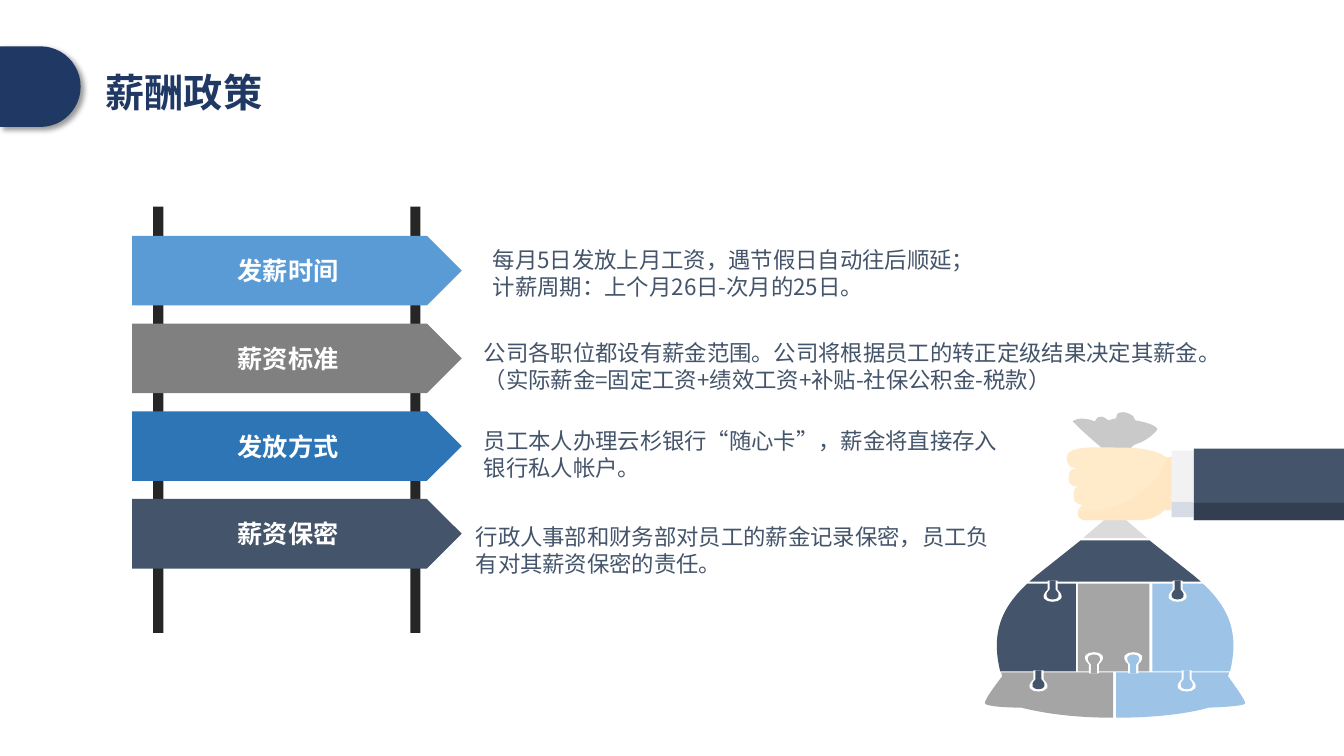
from pptx import Presentation
from pptx.dml.color import RGBColor
from pptx.enum.shapes import MSO_SHAPE
from pptx.enum.text import MSO_ANCHOR, PP_ALIGN
from pptx.oxml import parse_xml
from pptx.oxml.ns import nsdecls, qn
from pptx.util import Inches, Pt

FONT = "Noto Sans CJK SC"
HEX = {
    "title": "203864", "pole": "262626", "sky": "5B9BD5", "stone": "808080",
    "blue": "2E75B6", "navy": "44546A", "white": "FFFFFF", "gray": "A5A5A5",
    "light": "9DC3E6", "neck": "DBDBDB", "frill": "C9C9C9", "skin": "FFEACA",
    "shade": "FFE7C4", "cuff": "F2F2F2", "fold": "D6DCE5", "dark": "333F50",
}
ROWS = [  # label, colour, text box (left, top, width), indent, lines
    ("发薪时间", "sky", (4.79, 2.39, 5.96), 0,
     ["每月5日发放上月工资，遇节假日自动往后顺延；",
      "计薪周期：上个月26日-次月的25日。"]),
    ("薪资标准", "stone", (4.2, 3.32, 8.01), 0.5,
     ["公司各职位都设有薪金范围。公司将根据员工的转正定级结果决定其薪金。",
      "（实际薪金=固定工资+绩效工资+补贴-社保公积金-税款）"]),
    ("发放方式", "blue", (4.2, 4.19, 5.96), 0.5,
     ["员工本人办理云杉银行“随心卡”，薪金将直接存入银行私人帐户。"]),
    ("薪资保密", "navy", (4.12, 5.14, 5.96), 0.5,
     ["行政人事部和财务部对员工的薪金记录保密，员工负有对其薪资保密的责任。"]),
]


def paint(shape, color):
    shape.shadow.inherit = False
    shape.fill.solid()
    shape.fill.fore_color.rgb = RGBColor.from_string(HEX[color])
    shape.line.fill.background()
    return shape


def block(slide, kind, box, color):
    return paint(slide.shapes.add_shape(kind, *map(Inches, box)), color)


def write(para, text, size, color, bold=False):
    run = para.add_run()
    run.text = text
    font = run.font
    font.size, font.bold, font.name = Pt(size), bold, FONT
    font.color.rgb = RGBColor.from_string(HEX[color])
    run._r.get_or_add_rPr().append(
        parse_xml(f'<a:ea {nsdecls("a")} typeface="{FONT}"/>'))


def trace(slide, x, y, start, steps, color):
    """Outline from (x, y): pairs are lines, sixes are Bezier curves."""
    ends = [(Inches(x + s[-2]), Inches(y + s[-1])) for s in [start, *steps]]
    form = slide.shapes.build_freeform(*ends[0], scale=1.0)
    form.add_line_segments(ends[1:], close=True)
    shape = paint(form.convert_to_shape(), color)
    # Bend the lines that stand for curves
    lines = list(shape._element.iter(qn("a:lnTo")))
    for line, step in zip(lines, steps):
        if len(step) == 6:
            pts = "".join(
                f'<a:pt x="{Inches(x + a) - shape.left}" '
                f'y="{Inches(y + b) - shape.top}"/>'
                for a, b in zip(step[::2], step[1::2]))
            line.getparent().replace(line, parse_xml(
                f'<a:cubicBezTo {nsdecls("a")}>{pts}</a:cubicBezTo>'))


def head(slide, x, y):
    # Side tab with soft shadow, then the title
    tab = block(slide, MSO_SHAPE.FLOWCHART_DELAY, (x, y, 0.8, 0.8), "title")
    glow = parse_xml(
        f'<a:outerShdw {nsdecls("a")} blurRad="{Pt(4)}" dist="{Pt(3)}" '
        'dir="2700000" algn="tl" rotWithShape="0"><a:srgbClr val="000000">'
        '<a:alpha val="40000"/></a:srgbClr></a:outerShdw>')
    tab._element.spPr.find(qn("a:effectLst")).append(glow)
    box = slide.shapes.add_textbox(
        *map(Inches, (x + 0.95, y + 0.17, 1.77, 0.57)))
    box.text_frame.word_wrap = False
    write(box.text_frame.paragraphs[0], "薪酬政策", 28, "title", True)


def note(slide, place, indent, lines):
    box = slide.shapes.add_textbox(*map(Inches, (*place, 0.64)))
    frame = box.text_frame
    frame.word_wrap = True
    for i, line in enumerate(lines):
        para = frame.add_paragraph() if i else frame.paragraphs[0]
        if indent:
            para._p.get_or_add_pPr().set("marL", str(Inches(indent)))
        else:
            para.alignment = PP_ALIGN.JUSTIFY
        write(para, line, 16, "navy")


def signs(slide, x, y):
    # Two poles behind four arrow signs
    for dx in (2.76, 0.21):
        block(slide, MSO_SHAPE.RECTANGLE, (x + dx, y, 0.1, 4.23), "pole")
    for i, (label, color, place, indent, lines) in enumerate(ROWS):
        sign = block(slide, MSO_SHAPE.PENTAGON,
                     (x, y + 0.29 + 0.87 * i, 3.27, 0.69), color)
        sign.text_frame.vertical_anchor = MSO_ANCHOR.MIDDLE
        para = sign.text_frame.paragraphs[0]
        para.alignment = PP_ALIGN.CENTER
        write(para, label, 18, "white", True)
        note(slide, place, indent, lines)


def knob(slide, x, y, way, color):
    # White rim first, then the coloured tab; way is 1 down, -1 up
    for neck, wide, tip, tone in ((0.05, 0.22, 0.24, "white"),
                                  (0.03, 0.16, 0.21, color)):
        root, mid, end = -0.01 * way, 0.08 * way, tip * way
        trace(slide, x, y, (-neck, root),
              [(-neck, mid), (-wide, end, wide, end, neck, mid),
               (neck, root)], tone)


def bag(slide, x, y):
    # Puzzle pieces: middle row, base row, shoulders
    trace(slide, x, y, (0.44, 1.72),
          [(0.92, 1.72), (0.92, 2.59), (0.17, 2.59),
           (0.08, 2.22, 0.17, 1.97, 0.44, 1.72)], "navy")
    block(slide, MSO_SHAPE.RECTANGLE, (x + 0.94, y + 1.72, 0.71, 0.87), "gray")
    trace(slide, x, y, (1.68, 1.72),
          [(2.18, 1.72), (2.45, 1.97, 2.54, 2.22, 2.45, 2.59), (1.68, 2.59)],
          "light")
    trace(slide, x, y, (0.18, 2.6),
          [(1.29, 2.6), (1.29, 3.05), (0.8, 3.05, 0.5, 2.98, 0.38, 2.95),
           (0.25, 2.95, 0.04, 2.94, 0.02, 2.91),
           (0, 2.88, 0.19, 2.64, 0.19, 2.64)], "gray")
    trace(slide, x, y, (1.32, 2.6),
          [(2.44, 2.6), (2.43, 2.64), (2.43, 2.64, 2.61, 2.88, 2.6, 2.91),
           (2.58, 2.94, 2.24, 2.95, 2.24, 2.95),
           (2.1, 2.99, 1.8, 3.05, 1.32, 3.05)], "light")
    trace(slide, x, y, (0.97, 1.29),
          [(1.65, 1.29), (2.09, 1.64), (2.16, 1.7), (0.46, 1.7), (0.53, 1.64)],
          "navy")
    for dx, dy, way, color in (
            (0.69, 1.7, 1, "navy"), (1.93, 1.7, 1, "navy"),
            (0.55, 2.59, 1, "navy"), (2.02, 2.59, 1, "light"),
            (1.1, 2.6, -1, "gray"), (1.49, 2.6, -1, "light")):
        knob(slide, x + dx, y + dy, way, color)
    # Neck and frill
    trace(slide, x, y, (1.2, 1.09),
          [(1.42, 1.09), (1.63, 1.27), (0.99, 1.27)], "neck")
    trace(slide, x, y, (1.73, 0.19),
          [(1.72, 0.15, 1.62, 0.12, 1.51, 0.1),
           (1.5, 0.07, 1.49, 0.05, 1.44, 0.03),
           (1.35, 0, 1.33, 0.04, 1.33, 0.04), (1.32, 0.08), (1.24, 0.1),
           (1.22, 0.08, 1.15, 0.02, 1.11, 0.11),
           (0.95, 0.05, 0.89, 0.11, 0.89, 0.11),
           (0.97, 0.2, 1.21, 0.4, 1.21, 0.4), (1.46, 0.41),
           (1.46, 0.41, 1.43, 0.36, 1.56, 0.32),
           (1.65, 0.28, 1.7, 0.23, 1.73, 0.19)], "frill")


def hand(slide, x, y):
    # Fist, its shaded side, then cuff and sleeve
    under = [(1.04, 0.65), (0.97, 0.65),
             (0.97, 0.65, 0.88, 0.75, 0.72, 0.75), (0.17, 0.75),
             (0.17, 0.75, 0.11, 0.74, 0.11, 0.68)]
    trace(slide, x, y, (1.04, 0.12),
          [*under,
           (0.11, 0.62, 0.15, 0.62, 0.15, 0.6),
           (0.15, 0.58, 0.07, 0.62, 0.07, 0.5),
           (0.07, 0.39, 0.13, 0.43, 0.13, 0.42),
           (0.1, 0.41, 0.02, 0.44, 0.02, 0.33),
           (0.02, 0.23, 0.07, 0.24, 0.11, 0.24),
           (0.11, 0.22, 0, 0.26, 0, 0.13),
           (0, 0, 0.32, 0.03, 0.54, 0.03),
           (0.76, 0.03, 0.91, 0.07, 0.96, 0.11),
           (1.02, 0.15, 1.04, 0.12, 1.04, 0.12)], "skin")
    trace(slide, x, y, (1.04, 0.12),
          [*under, (0.14, 0.67), (0.55, 0.67, 0.9, 0.44, 1, 0.13)], "shade")
    for dx, dy, w, h, color in (
            (1.04, 0.06, 0.22, 0.66, "cuff"), (1.26, 0.04, 1.49, 0.71, "navy"),
            (1.04, 0.57, 0.22, 0.15, "fold"), (1.26, 0.58, 1.49, 0.17, "dark")):
        block(slide, MSO_SHAPE.RECTANGLE, (x + dx, y + dy, w, h), color)


def main():
    deck = Presentation()
    deck.slide_width, deck.slide_height = Inches(13.33), Inches(7.5)
    slide = deck.slides.add_slide(deck.slide_layouts[6])
    head(slide, 0, 0.46)
    signs(slide, 1.31, 2.05)
    bag(slide, 9.75, 4.07)
    hand(slide, 10.58, 4.41)
    deck.save("out.pptx")


if __name__ == "__main__":
    main()
